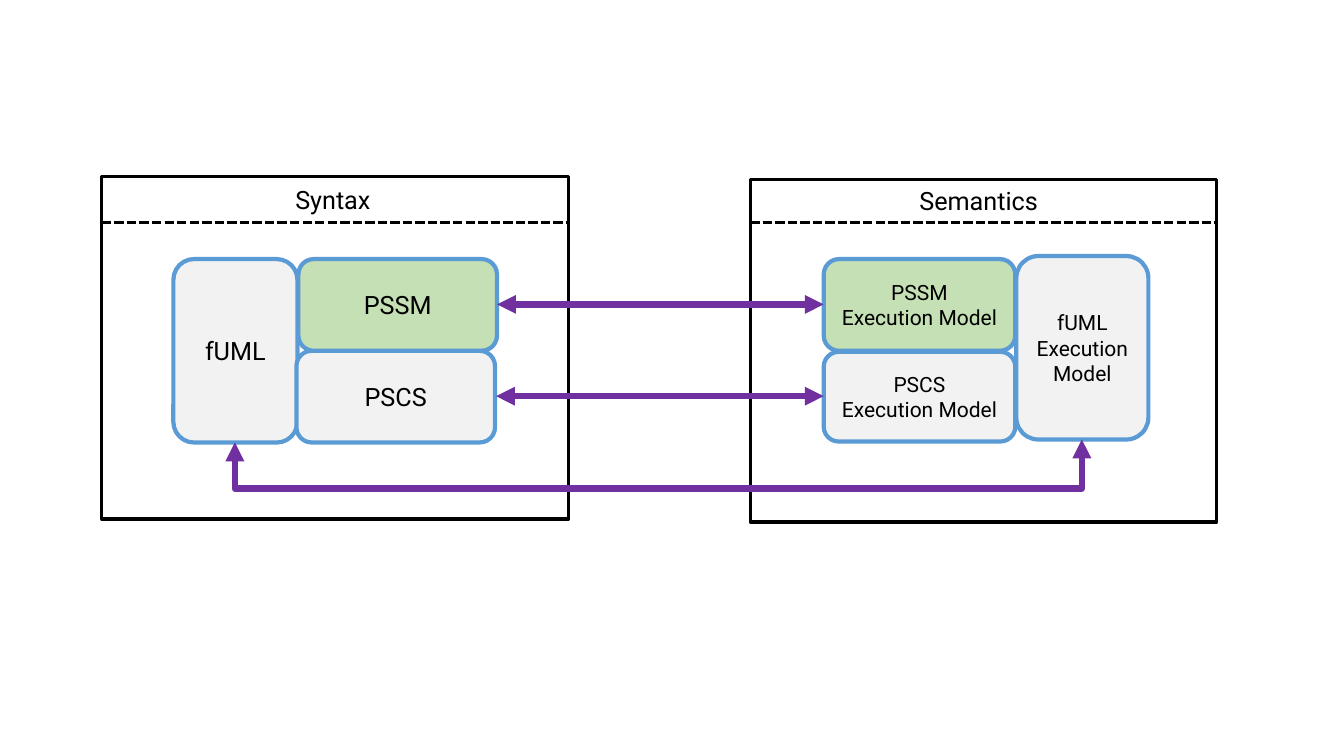
import pptx
import pptx.util
import pptx.dml.color
import pptx.enum.dml
import pptx.enum.shapes
import pptx.enum.text
import pptx.oxml
import pptx.oxml.ns

Inches = pptx.util.Inches
SHAPE = pptx.enum.shapes.MSO_SHAPE
LINK = pptx.enum.shapes.MSO_CONNECTOR
COLORS = {"white": "FFFFFF", "black": "000000", "gray": "F2F2F2",
          "green": "C5E0B4", "blue": "5B9BD5", "purple": "7030A0"}
FONT = "Roboto"


def color(name):
    """Return the named colour."""
    return pptx.dml.color.RGBColor.from_string(COLORS[name])


def write(frame, text, size=18, ink="black", align=None):
    """Fill a text frame, one paragraph for each line of text."""
    frame.word_wrap = True
    frame.text = text
    for para in frame.paragraphs:
        para.alignment = align
        para.font.size = pptx.util.Pt(size)
        para.font.name = FONT
        para.font.color.rgb = color(ink)


def draw_box(slide, kind, box, fill, edge, width):
    """Draw a filled and outlined shape."""
    shape = slide.shapes.add_shape(kind, *map(Inches, box))
    shape.shadow.inherit = False
    shape.fill.solid()
    shape.fill.fore_color.rgb = color(fill)
    shape.line.color.rgb = color(edge)
    shape.line.width = pptx.util.Pt(width)
    return shape


def draw_line(slide, kind, ends, ink, width):
    """Draw a connector without a shadow."""
    line = slide.shapes.add_connector(kind, *map(Inches, ends))
    line.line.color.rgb = color(ink)
    line.line.width = pptx.util.Pt(width)
    pptx.oxml.ns.qn("a:effectLst")
    line._element.spPr.append(pptx.oxml.parse_xml(
        f'<a:effectLst {pptx.oxml.ns.nsdecls("a")}/>'))
    return line


def draw_panel(slide, box, title, label, rule):
    """Draw a framed panel with its title above a dashed rule."""
    left, top, width, height = box
    draw_box(slide, SHAPE.RECTANGLE, box, "white", "black", 2.25)
    line = draw_line(slide, LINK.STRAIGHT, (left, rule, left + width, rule),
                     "black", 2.25)
    line.line.dash_style = pptx.enum.dml.MSO_LINE.SQUARE_DOT
    shift, drop, wide = label
    text = slide.shapes.add_textbox(
        *map(Inches, (left + shift, top + drop, wide, 0.4)))
    write(text.text_frame, title)


def draw_blocks(slide, box, blocks, size):
    """Draw rounded blocks at offsets from the panel corner."""
    left, top = box[:2]
    for text, x, y, width, height, fill in blocks:
        shape = draw_box(slide, SHAPE.ROUNDED_RECTANGLE,
                         (left + x, top + y, width, height), fill, "blue", 3)
        shape.text_frame.vertical_anchor = pptx.enum.text.MSO_ANCHOR.MIDDLE
        write(shape.text_frame, text, size=size,
              align=pptx.enum.text.PP_ALIGN.CENTER)


def draw_arrow(slide, kind, ends):
    """Draw a purple arrow with a head at both ends."""
    arrow = draw_line(slide, kind, ends, "purple", 4.5)
    stroke = arrow.line._get_or_add_ln()
    for tag in ("headEnd", "tailEnd"):
        stroke.append(pptx.oxml.parse_xml(
            f'<a:{tag} {pptx.oxml.ns.nsdecls("a")} type="triangle"/>'))
    return arrow


def draw_loop(slide, start, end, floor):
    """Draw a U-shaped arrow that runs along the floor between two points."""
    (x1, y1), (x2, y2) = start, end
    rise, span = y1 - y2, x2 - x1
    mid_x, mid_y = (x1 + x2) / 2, (y1 + y2) / 2
    arrow = draw_arrow(slide, LINK.ELBOW,
                       (mid_x + rise / 2, mid_y + span / 2,
                        mid_x - rise / 2, mid_y - span / 2))
    props = arrow._element.spPr
    props.xfrm.set("rot", "5400000")
    bend = round((y1 - floor) / rise * 100000)
    guides = props.find(pptx.oxml.ns.qn("a:prstGeom")).get_or_add_avLst()
    guides.append(pptx.oxml.parse_xml(
        f'<a:gd {pptx.oxml.ns.nsdecls("a")} name="adj1" fmla="val {bend}"/>'))


def main():
    """Build the slide and save it."""
    deck = pptx.Presentation()
    deck.slide_width, deck.slide_height = Inches(13.33), Inches(7.5)
    slide = deck.slides.add_slide(deck.slide_layouts[6])

    syntax = (1.01, 1.75, 4.63, 3.4)
    draw_panel(slide, syntax, "Syntax", (1.82, 0.03, 0.99), 2.21)
    draw_blocks(slide, syntax, [
        ("fUML", 0.71, 0.82, 1.23, 1.82, "gray"),
        ("PSCS", 1.93, 1.73, 1.97, 0.91, "gray"),
        ("PSSM", 1.95, 0.82, 1.97, 0.91, "green")], 18)

    meaning = (7.44, 1.78, 4.63, 3.4)
    draw_panel(slide, meaning, "Semantics", (1.58, 0.01, 1.47), 2.21)
    draw_blocks(slide, meaning, [
        ("fUML\nExecution Model", 2.64, 0.76, 1.31, 1.82, "gray"),
        ("PSCS\nExecution Model", 0.73, 1.71, 1.9, 0.89, "gray"),
        ("PSSM\nExecution Model", 0.73, 0.79, 1.9, 0.91, "green")], 15)

    draw_loop(slide, (2.33, 4.39), (10.73, 4.36), 4.85)
    for left, y in ((4.92, 3.93), (4.93, 3.02)):
        draw_arrow(slide, LINK.STRAIGHT, (left, y, 8.17, y))
    deck.save("out.pptx")


if __name__ == "__main__":
    main()
